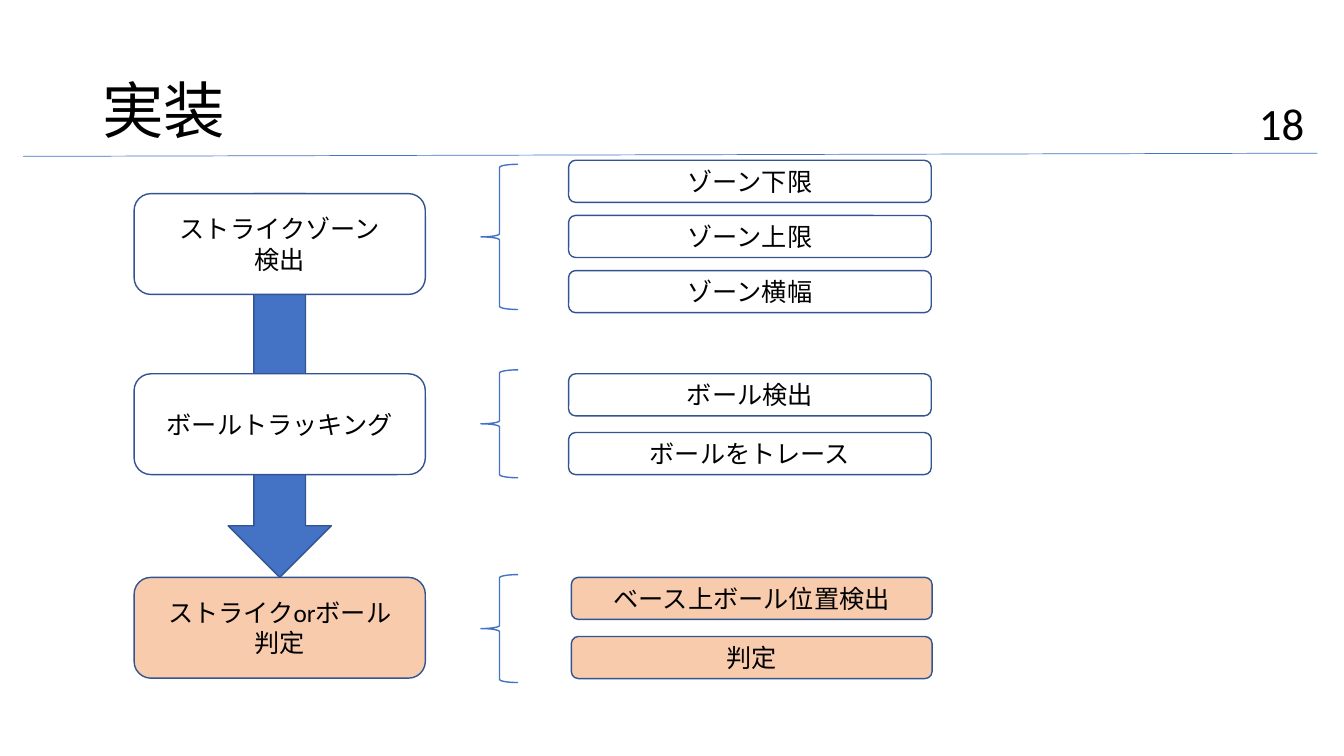
from pptx import Presentation
from pptx.dml.color import RGBColor
from pptx.enum.shapes import MSO_CONNECTOR, MSO_SHAPE
from pptx.enum.text import MSO_ANCHOR, PP_ALIGN
from pptx.util import Cm, Pt
from lxml import etree

ROUND, BRACE, ARROW = MSO_SHAPE.ROUNDED_RECTANGLE, MSO_SHAPE.LEFT_BRACE, MSO_SHAPE.DOWN_ARROW
STRAIGHT = MSO_CONNECTOR.STRAIGHT
MIDDLE, TOP = MSO_ANCHOR.MIDDLE, MSO_ANCHOR.TOP
LEFT, CENTER, RIGHT = PP_ALIGN.LEFT, PP_ALIGN.CENTER, PP_ALIGN.RIGHT
COLORS = {"blue": "4472C4", "edge": "325491", "white": "FFFFFF",
          "peach": "F8CBAD", "text": "000000"}
A_NS = "http://schemas.openxmlformats.org/drawingml/2006/main"
STAGE_H, STEP_H = 2.54, 1.06

STAGES = [
    dict(top=4.88, lines=["ストライクゾーン", "検出"], fill="white",
         steps=["ゾーン下限", "ゾーン上限", "ゾーン横幅"],
         step_box=(14.33, 4.04, 9.14), pitch=1.39, brace=(4.14, 3.66)),
    dict(top=9.42, lines=["ボールトラッキング"], fill="white",
         steps=["ボール検出", "ボールをトレース"],
         step_box=(14.33, 9.42, 9.14), pitch=1.48, brace=(9.32, 2.72)),
    dict(top=14.55, lines=["ストライクorボール", "判定"], fill="peach",
         steps=["ベース上ボール位置検出", "判定"],
         step_box=(14.4, 14.55, 9.09), pitch=1.49, brace=(14.48, 2.72)),
]


def rgb(name):
    return RGBColor.from_string(COLORS[name])


def write(tf, lines, size, align, anchor, font="Calibri"):
    tf.word_wrap = True
    tf.vertical_anchor = anchor
    for i, line in enumerate(lines):
        p = tf.paragraphs[0] if i == 0 else tf.add_paragraph()
        p.text = line
        p.alignment = align
        p.font.size = Pt(size)
        p.font.name = font
        p.font.color.rgb = rgb("text")


def add_shape(s, kind, box, fill, line):
    sp = s.shapes.add_shape(kind, *map(Cm, box))
    sp.shadow.inherit = False
    if fill:
        sp.fill.solid()
        sp.fill.fore_color.rgb = rgb(fill)
    else:
        sp.fill.background()
    sp.line.color.rgb = rgb(line)
    sp.line.width = Pt(1)
    return sp


def add_box(s, box, lines, fill):
    sp = add_shape(s, ROUND, box, fill, "edge")
    write(sp.text_frame, lines, 18, CENTER, MIDDLE)


def add_label(s, box, text, size, align, anchor, font):
    tf = s.shapes.add_textbox(*map(Cm, box)).text_frame
    write(tf, [text], size, align, anchor, font)
    return tf


def add_header(s, left, top, width):
    tf = add_label(s, (left + 1.75, top, 29.21, 3.68), "実装",
                   44, LEFT, MIDDLE, "Noto Sans CJK JP")
    tf.paragraphs[0].line_spacing = 0.9
    rule = s.shapes.add_connector(STRAIGHT, Cm(left), Cm(top + 2.92),
                                  Cm(left + width), Cm(top + 2.84))
    rule.line.color.rgb = rgb("blue")
    rule.line.width = Pt(0.5)
    etree.SubElement(rule._element.spPr, f"{{{A_NS}}}effectLst")
    add_label(s, (left + width - 2.49, top + 1.27, 2.41, 1.62), "18",
              32, RIGHT, TOP, "Calibri")


def add_stage(s, left, width, stage):
    add_box(s, (left, stage["top"], width, STAGE_H), stage["lines"], stage["fill"])
    brace_top, brace_h = stage["brace"]
    add_shape(s, BRACE, (left + width + 1.4, brace_top, 0.94, brace_h), None, "blue")
    step_left, step_top, step_w = stage["step_box"]
    for i, step in enumerate(stage["steps"]):
        box = (step_left, step_top + i * stage["pitch"], step_w, STEP_H)
        add_box(s, box, [step], stage["fill"])


def add_flow(s, left, width):
    top, bottom = STAGES[0]["top"], STAGES[-1]["top"]
    arrow_w = 2.6
    add_shape(s, ARROW, (left + (width - arrow_w) / 2, top, arrow_w, bottom - top),
              "blue", "edge")
    for stage in STAGES:
        add_stage(s, left, width, stage)


def main():
    prs = Presentation()
    prs.slide_width, prs.slide_height = Cm(33.87), Cm(19.05)
    s = prs.slides.add_slide(prs.slide_layouts[6])
    add_header(s, 0.58, 1.02, 32.62)
    add_flow(s, 3.38, 7.34)
    prs.save("out.pptx")


if __name__ == "__main__":
    main()
